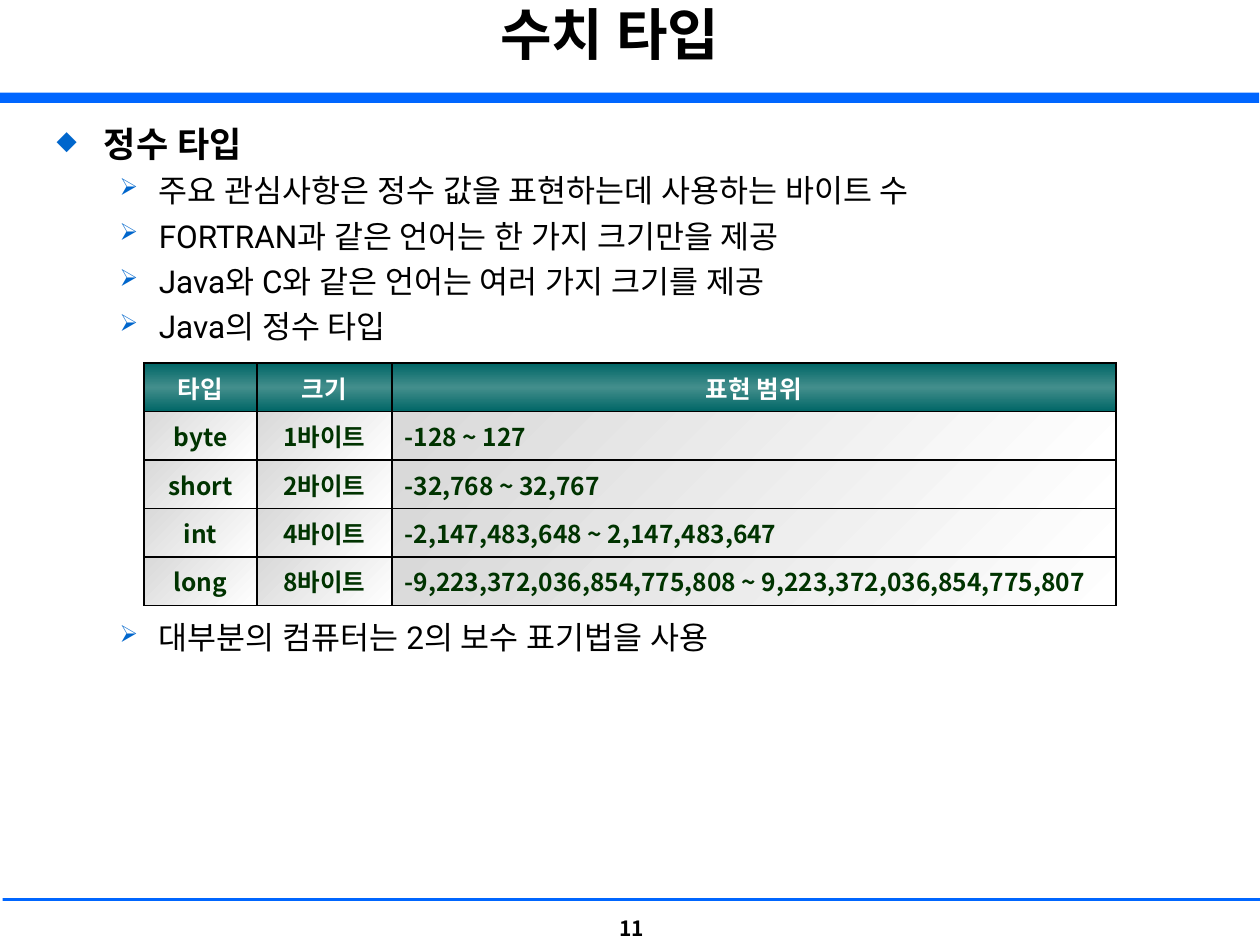
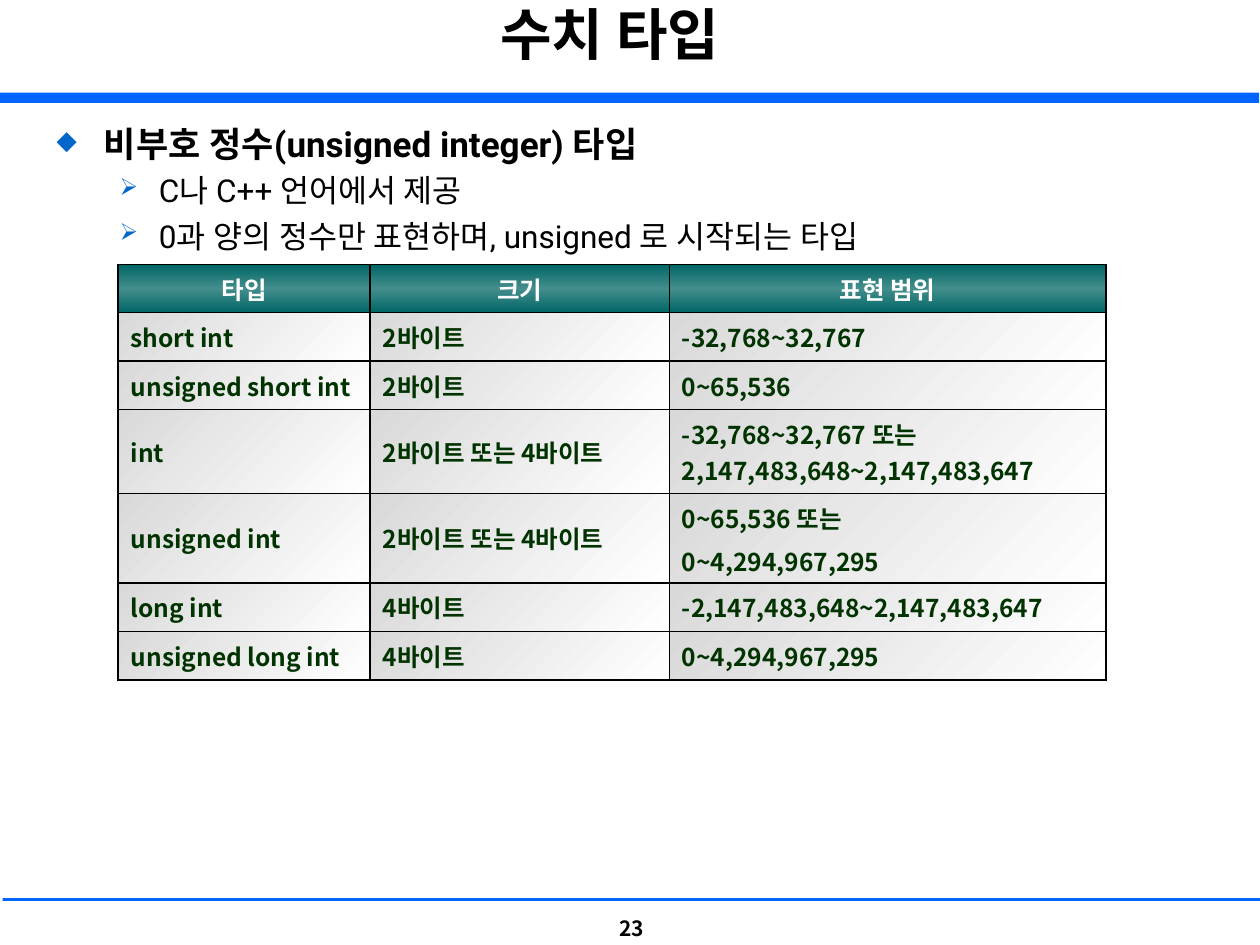
from lxml import etree
from pptx import Presentation
from pptx import util as u
from pptx.dml.color import RGBColor
from pptx.enum import shapes, text
from pptx.oxml.ns import qn

HUES = {"ink": "000000", "band": "0066FF", "mark": "0066CC", "white": "FFFFFF",
        "head": "006666", "shine": "438E8C", "cell": "D9D9D9", "data": "003300"}
SANS, ROMAN = "Noto Sans CJK KR", "Roboto"
LEFT, MID = text.PP_ALIGN.LEFT, text.PP_ALIGN.CENTER
ROW = 27.7
LEVELS = [
    {"mark": "◆", "left": 27, "hang": 27, "size": 20, "bold": True, "gap": 0},
    {"mark": "➢", "left": 58.5, "hang": 22.5, "size": 18, "bold": False, "gap": 4.2},
]
GRADS = {
    "head": ([(0, "head"), (50, "shine"), (100, "head")], 90),
    "data": ([(0, "cell"), (100, "white")], 45),
}


def assign(item, values):
    for key, value in values.items():
        setattr(item, key, value)


def node(base, tag, **attrs):
    return etree.SubElement(base, qn("a:" + tag), {k: str(v) for k, v in attrs.items()})


def write(para, words, size, bold=True, hue="ink", face=SANS, **layout):
    assign(para, layout)
    run = para.add_run()
    run.text = words
    assign(run.font, {"size": u.Pt(size), "bold": bold, "name": face})
    run.font.color.rgb = RGBColor.from_string(HUES[hue])
    node(run.font._element, "ea", typeface=face)


def frame(slide, box, anchor=text.MSO_ANCHOR.TOP):
    body = slide.shapes.add_textbox(*map(u.Pt, box)).text_frame
    assign(body, {"word_wrap": True, "vertical_anchor": anchor})
    return body


def band(slide, box):
    bar = slide.shapes.add_shape(shapes.MSO_SHAPE.RECTANGLE, *map(u.Pt, box))
    bar.shadow.inherit = False
    bar.fill.solid()
    bar.fill.fore_color.rgb = RGBColor.from_string(HUES["band"])
    bar.line.fill.background()


def header(slide, title):
    band(slide, (0, 52.9, 719.5, 6))
    body = frame(slide, (24.5, 0.7, 648, 56.2))
    write(body.paragraphs[0], title, 32, alignment=MID, line_spacing=0.9)


def footer(slide, number):
    band(slide, (1.5, 513.2, 718.5, 1.6))
    body = frame(slide, (330.5, 516.2, 61.2, 28), text.MSO_ANCHOR.MIDDLE)
    write(body.paragraphs[0], str(number), 12, alignment=MID)


def points(slide, box, items):
    body = frame(slide, box)
    for i, (depth, words, extra) in enumerate(items):
        para = body.add_paragraph() if i else body.paragraphs[0]
        look = LEVELS[depth]
        write(para, words, look["size"], look["bold"], face=ROMAN,
              level=depth, space_before=u.Pt(look["gap"] + extra))
        props = para._p.get_or_add_pPr()
        props.set("marL", str(u.Pt(look["left"])))
        props.set("indent", str(-u.Pt(look["hang"])))
        node(node(props, "buClr"), "srgbClr", val=HUES["mark"])
        node(props, "buSzPct", val=75000)
        node(props, "buChar", char=look["mark"])


def paint(cell, kind):
    props = cell._tc.get_or_add_tcPr()
    for side in ("lnL", "lnR", "lnT", "lnB"):
        edge = node(props, side, w=u.Pt(1))
        node(node(edge, "solidFill"), "srgbClr", val=HUES["ink"])
    stops, angle = GRADS[kind]
    grad = node(props, "gradFill", rotWithShape=1)
    group = node(grad, "gsLst")
    for place, hue in stops:
        node(node(group, "gs", pos=place * 1000), "srgbClr", val=HUES[hue])
    node(grad, "lin", ang=angle * 60000, scaled=1)


def grid(slide, spot, widths, heights, rows, aligns):
    box = (*spot, sum(widths), sum(heights))
    table = slide.shapes.add_table(len(rows), len(widths), *map(u.Pt, box)).table
    assign(table, {"first_row": False, "horz_banding": False})
    for col, width in zip(table.columns, widths):
        col.width = u.Pt(width)
    for r, (row, height) in enumerate(zip(rows, heights)):
        table.rows[r].height = u.Pt(height)
        for c, words in enumerate(row):
            cell = table.cell(r, c)
            cell.vertical_anchor = text.MSO_ANCHOR.MIDDLE
            for i, line in enumerate(words.split("\n")):
                body = cell.text_frame
                para = body.add_paragraph() if i else body.paragraphs[0]
                write(para, line, 14, hue="data" if r else "white",
                      alignment=aligns[c] if r else MID,
                      space_before=u.Pt(4 if i else 0))
            paint(cell, "data" if r else "head")


def page(deck, number, items, **table):
    slide = deck.slides.add_slide(deck.slide_layouts[6])
    header(slide, "수치 타입")
    footer(slide, number)
    points(slide, (25.2, 66.2, 663, 442), items)
    grid(slide, **table)


def main():
    deck = Presentation()
    assign(deck, {"slide_width": u.Pt(720), "slide_height": u.Pt(540)})
    heads = ("타입", "크기", "표현 범위")
    page(deck, 11, [
        (0, "정수 타입", 0),
        (1, "주요 관심사항은 정수 값을 표현하는데 사용하는 바이트 수", 0),
        (1, "FORTRAN과 같은 언어는 한 가지 크기만을 제공", 0),
        (1, "Java와 C와 같은 언어는 여러 가지 크기를 제공", 0),
        (1, "Java의 정수 타입", 0),
        (1, "대부분의 컴퓨터는 2의 보수 표기법을 사용", 152),
    ], spot=(82.2, 207.5), widths=(64.7, 77.1, 413.8), heights=[ROW] * 5, rows=[
        heads,
        ("byte", "1바이트", "-128 ~ 127"),
        ("short", "2바이트", "-32,768 ~ 32,767"),
        ("int", "4바이트", "-2,147,483,648 ~ 2,147,483,647"),
        ("long", "8바이트", "-9,223,372,036,854,775,808 ~ 9,223,372,036,854,775,807"),
    ], aligns=(MID, MID, LEFT))
    page(deck, 23, [
        (0, "비부호 정수(unsigned integer) 타입", 0),
        (1, "C나 C++ 언어에서 제공", 0),
        (1, "0과 양의 정수만 표현하며, unsigned 로 시작되는 타입", 0),
    ], spot=(67.5, 151), widths=(144, 171, 249.5),
        heights=[ROW, ROW, ROW, 48, 51, ROW, ROW], rows=[
        heads,
        ("short int", "2바이트", "-32,768~32,767"),
        ("unsigned short int", "2바이트", "0~65,536"),
        ("int", "2바이트 또는 4바이트", "-32,768~32,767 또는 2,147,483,648~2,147,483,647"),
        ("unsigned int", "2바이트 또는 4바이트", "0~65,536 또는\n0~4,294,967,295"),
        ("long int", "4바이트", "-2,147,483,648~2,147,483,647"),
        ("unsigned long int", "4바이트", "0~4,294,967,295"),
    ], aligns=(LEFT, LEFT, LEFT))
    deck.save("out.pptx")


if __name__ == "__main__":
    main()
